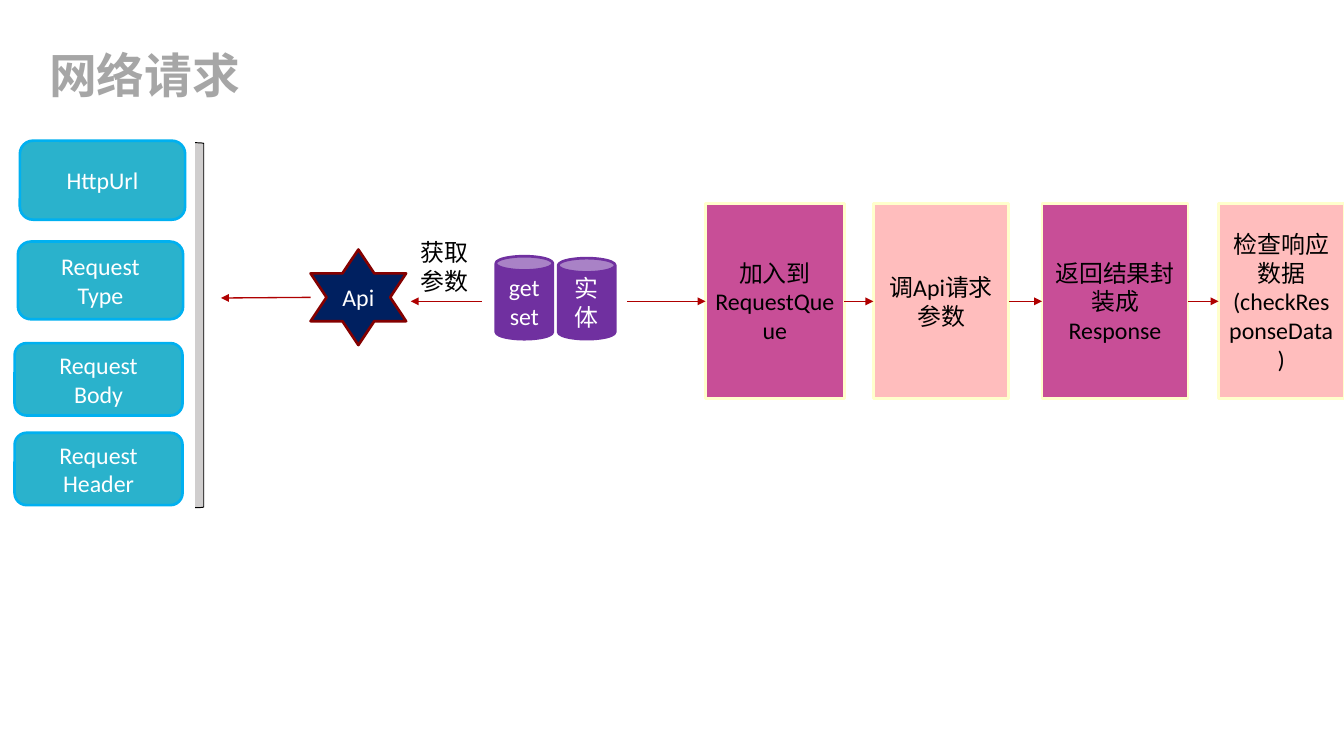
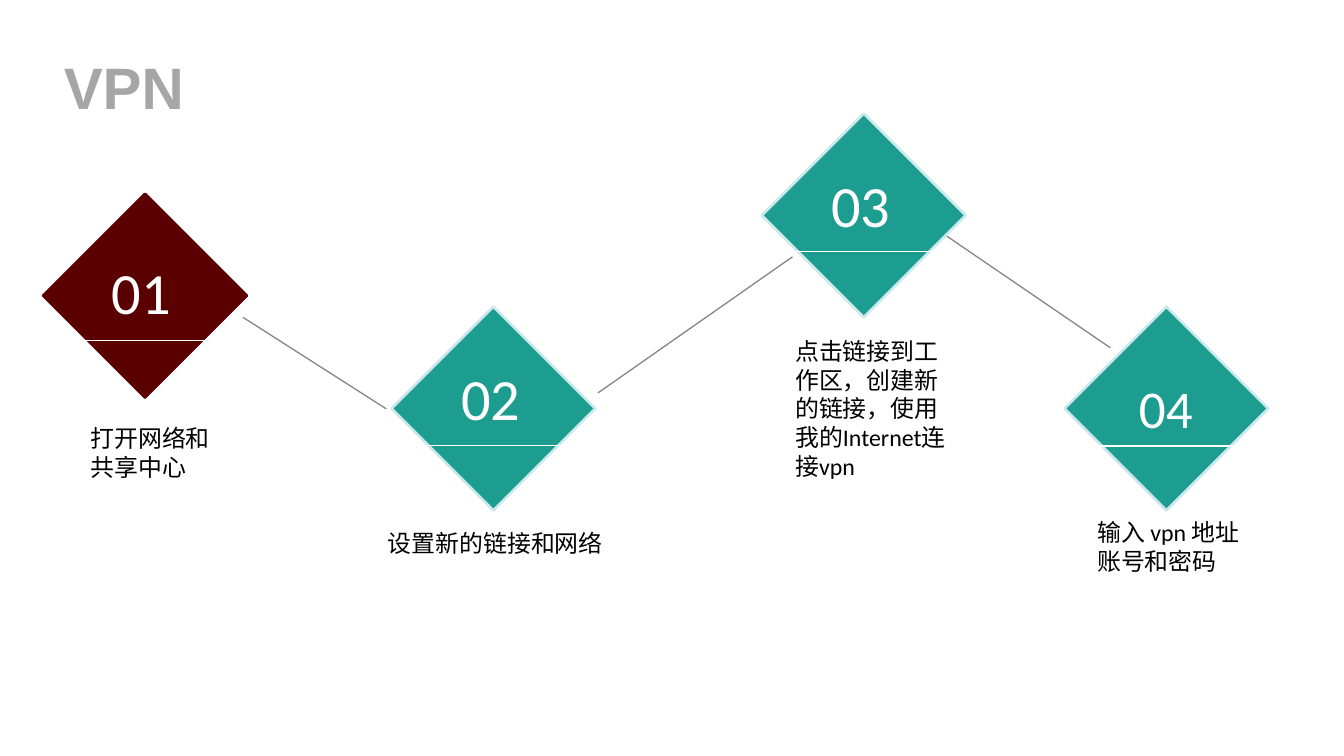
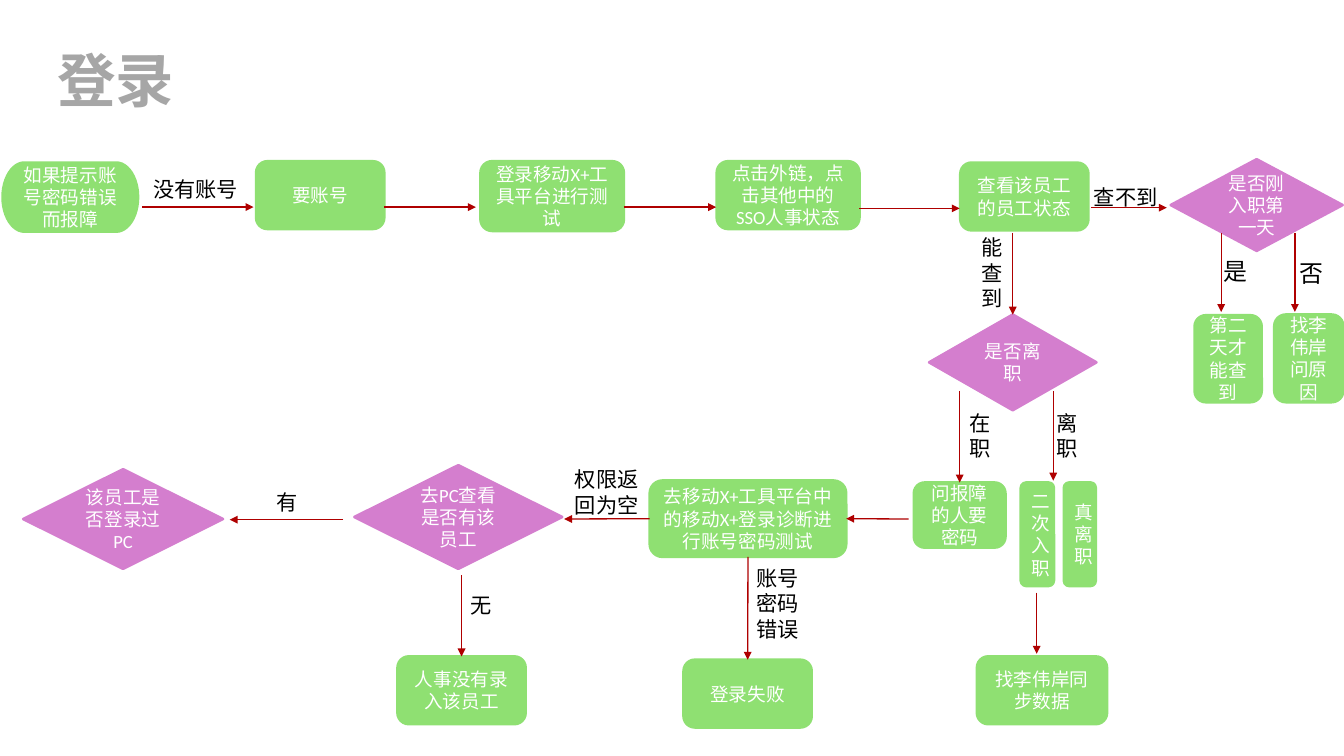
from dataclasses import dataclass
from lxml import etree
from pptx import Presentation
from pptx.dml.color import RGBColor
from pptx.enum.shapes import MSO_CONNECTOR, MSO_SHAPE
from pptx.enum.text import MSO_ANCHOR, MSO_AUTO_SIZE, PP_ALIGN
from pptx.oxml.ns import qn
from pptx.util import Pt

ROUND = MSO_SHAPE.ROUNDED_RECTANGLE
RECT = MSO_SHAPE.RECTANGLE
DIAMOND = MSO_SHAPE.DIAMOND
CAN = MSO_SHAPE.CAN
STAR = MSO_SHAPE.STAR_6_POINT
BRACKET = MSO_SHAPE.RIGHT_BRACKET
TERMINATOR = MSO_SHAPE.FLOWCHART_TERMINATOR
STRAIGHT = MSO_CONNECTOR.STRAIGHT
MIDDLE = MSO_ANCHOR.MIDDLE
GROW = MSO_AUTO_SIZE.SHAPE_TO_FIT_TEXT
CENTER, ALIGN_LEFT = PP_ALIGN.CENTER, PP_ALIGN.LEFT
TOP, LEFT, BOTTOM, RIGHT = range(4)


@dataclass(frozen=True)
class Theme:
    title_font: str = "Arial"
    body_font: str = "Calibri"
    title: str = "A6A6A6"
    black: str = "000000"
    white: str = "FFFFFF"
    arrow: str = "AF0000"
    link: str = "8A8686"
    request: str = "2AB2CC"
    request_edge: str = "00B0F0"
    entity: str = "7030A0"
    api: str = "002060"
    api_edge: str = "840000"
    step_dark: str = "C84E97"
    step_light: str = "FFBDBD"
    step_edge: str = "FFFFCC"
    bracket: str = "D0CECE"
    first: str = "5A0000"
    teal: str = "1D9C90"
    teal_edge: str = "CBE8ED"
    task: str = "8FE072"
    decision: str = "D47ECE"
    title_size: int = 44
    long_title_size: int = 36
    body_size: int = 18
    label_size: int = 16
    flow_size: int = 14
    number_size: int = 44
    last_number_size: int = 40
    edge: float = 2
    thin: float = 0.75
    line: float = 1


theme = Theme()


def add_block(slide, box, text="", size=theme.body_size, color=theme.black, kind=None,
              fill=None, edge=None, edge_width=theme.edge, font=theme.body_font, bold=False):
    frame = [Pt(value) for value in box]
    if kind is None:
        block = slide.shapes.add_textbox(*frame)
        block.text_frame.auto_size = GROW
    else:
        block = slide.shapes.add_shape(kind, *frame)
        block.shadow.inherit = False
        block.fill.solid()
        block.fill.fore_color.rgb = RGBColor.from_string(fill)
        block.line.color.rgb = RGBColor.from_string(edge or fill)
        block.line.width = Pt(edge_width)
        block.text_frame.vertical_anchor = MIDDLE
    block.text_frame.word_wrap = True
    for index, words in enumerate(text.split("\n") if text else []):
        paragraphs = block.text_frame.paragraphs
        paragraph = block.text_frame.add_paragraph() if index else paragraphs[0]
        paragraph.alignment = CENTER if kind else ALIGN_LEFT
        run = paragraph.add_run()
        run.text = words
        run.font.name = font
        run.font.size = Pt(size)
        run.font.bold = bold
        run.font.color.rgb = RGBColor.from_string(color)
    return block


def add_line(slide, points, color=theme.arrow, arrow=True, begin=None, end=None):
    line = slide.shapes.add_connector(STRAIGHT, *[Pt(value) for value in points])
    if begin:
        line.begin_connect(*begin)
    if end:
        line.end_connect(*end)
    line.line.color.rgb = RGBColor.from_string(color)
    line.line.width = Pt(theme.line)
    if arrow:
        etree.SubElement(line.line._get_or_add_ln(), qn("a:tailEnd"), type="triangle")
    etree.SubElement(line._element.spPr, qn("a:effectLst"))


deck = Presentation()
deck.slide_width = Pt(1012.5)
deck.slide_height = Pt(569.5)

slides = []
for title, box, size in [
    ("网络请求", (30, 31, 174, 51), theme.long_title_size),
    ("VPN", (41, 35, 110, 60.5), theme.title_size),
    ("登录", (36, 29.5, 104, 60.5), theme.title_size),
]:
    slide = deck.slides.add_slide(deck.slide_layouts[6])
    add_block(slide, box, title, size, theme.title, font=theme.title_font, bold=True)
    slides.append(slide)
request_slide, vpn_slide, login_slide = slides

add_block(request_slide, (309.5, 175.5, 106.5, 51), "获取\n参数")

for box, text in [((420.5, 194.5, 43, 61), "实体"), ((373.5, 193, 43, 62.5), "get\nset")]:
    add_block(request_slide, box, text, color=theme.white, kind=CAN, fill=theme.entity)

for box, text in [
    ((15, 106, 124.5, 59.5), "HttpUrl"),
    ((13.5, 182, 124.5, 58.5), "Request\nType"),
    ((11, 258.5, 126.5, 54.5), "Request\nBody"),
    ((11, 326, 126.5, 54.5), "Request\nHeader"),
]:
    add_block(request_slide, box, text, color=theme.white, kind=ROUND,
              fill=theme.request, edge=theme.request_edge)

add_block(request_slide, (147, 107.5, 6.5, 275), kind=BRACKET, fill=theme.bracket,
          edge=theme.black, edge_width=theme.thin)
add_block(request_slide, (234, 188, 72, 72), "Api", color=theme.white, kind=STAR,
          fill=theme.api, edge=theme.api_edge)
add_line(request_slide, (234, 224, 166.5, 224.5))
add_line(request_slide, (363, 227, 309.5, 227))

previous_step = None
for x, width, fill, text in [
    (531.5, 104.5, theme.step_dark, "加入到RequestQueue"),
    (658, 102, theme.step_light, "调Api请求参数"),
    (785, 110, theme.step_dark, "返回结果封装成Response"),
    (918, 94.5, theme.step_light, "检查响应数据\n(checkResponseData)"),
]:
    step = add_block(request_slide, (x, 153.5, width, 147), text, kind=RECT,
                     fill=fill, edge=theme.step_edge)
    add_line(request_slide, (472.5, 227, x, 227),
             begin=(previous_step, RIGHT) if previous_step else None, end=(step, LEFT))
    previous_step = step

for points in [
    (183, 239, 291, 308),
    (450.5, 296, 597, 193.5),
    (712, 177, 836.5, 262),
]:
    add_line(vpn_slide, points, theme.link, arrow=False)

for corner, fill, edge, rule, number, number_box, number_size, caption, caption_box in [
    ((32.5, 146), theme.first, theme.first, (47, 256.5), "01", (77, 189.5, 70, 60.5),
     theme.number_size, "打开网络和共享中心", (61, 315.5, 105, 51)),
    ((295, 231), theme.teal, theme.teal_edge, (319.5, 335.5), "02", (340.5, 269.5, 65, 60.5),
     theme.number_size, "设置新的链接和网络", (285, 394.5, 193, 29)),
    ((574, 85.5), theme.teal, theme.teal_edge, (592, 189.5), "03", (619, 124, 62.5, 60.5),
     theme.number_size, "点击链接到工作区，创建新的链接，使用我的Internet连接vpn", (592, 250, 134, 138)),
    ((802, 231), theme.teal, theme.teal_edge, (819.5, 336), "04", (851, 279.5, 55.5, 55.5),
     theme.last_number_size, "输入 vpn 地址账号和密码", (819.5, 386.5, 136, 51)),
]:
    add_block(vpn_slide, (*corner, 153.5, 153.5), kind=DIAMOND, fill=fill, edge=edge)
    rule_x, rule_y = rule
    add_line(vpn_slide, (rule_x, rule_y, rule_x + 119, rule_y), theme.white, arrow=False)
    add_block(vpn_slide, number_box, number, number_size, theme.white)
    add_block(vpn_slide, caption_box, caption)

flow = {}
for key, kind, box, text in [
    ("report", TERMINATOR, (2, 122.5, 102, 52), "如果提示账号密码错误而报障"),
    ("account", ROUND, (193, 121.5, 96.5, 51), "要账号"),
    ("platform", ROUND, (362, 121.5, 108, 52.5), "登录移动X+工具平台进行测试"),
    ("sso", ROUND, (540, 121.5, 107.5, 51), "点击外链，点击其他中的SSO人事状态"),
    ("status", ROUND, (723.5, 122.5, 96.5, 51), "查看该员工的员工状态"),
    ("first_day", DIAMOND, (882, 120, 129.5, 69), "是否刚入职第一天"),
    ("next_day", ROUND, (900, 237.5, 50.5, 65.5), "第二天才能查到"),
    ("ask_reason", ROUND, (960, 237, 52, 66), "找李伟岸问原因"),
    ("left_job", DIAMOND, (700, 237, 126, 72), "是否离职"),
    ("password", ROUND, (688.5, 363.5, 69, 49), "问报障的人要密码"),
    ("rejoined", ROUND, (769, 363.5, 25, 78), "二次入职"),
    ("really_left", ROUND, (801.5, 363.5, 24, 78), "真离职"),
    ("sync", ROUND, (736, 494.5, 98, 51), "找李伟岸同步数据"),
    ("diagnosis", ROUND, (489.5, 362, 148, 57.5), "去移动X+工具平台中的移动X+登录诊断进行账号密码测试"),
    ("failed", ROUND, (515, 497, 96.5, 51), "登录失败"),
    ("on_pc", DIAMOND, (267, 350.5, 156.5, 78), "去PC查看是否有该员工"),
    ("not_entered", ROUND, (299.5, 494.5, 96.5, 51), "人事没有录入该员工"),
    ("pc_login", DIAMOND, (17.5, 353.5, 150.5, 75), "该员工是否登录过PC"),
]:
    fill = theme.decision if kind == DIAMOND else theme.task
    flow[key] = add_block(login_slide, box, text, theme.flow_size, theme.white, kind, fill)

for points, begin, end in [
    ((107, 156, 191, 156), None, None),
    ((289.5, 156, 358.5, 156), None, None),
    ((470, 156, 539.5, 156), None, None),
    ((647.5, 157, 723, 157), None, None),
    ((822, 156.5, 879, 156.5), None, None),
    ((920, 175.5, 920, 235), None, None),
    ((975.5, 175.5, 975.5, 235), None, None),
    ((763, 175.5, 763, 237), None, ("left_job", TOP)),
    ((723, 294.5, 723, 363.5), None, ("password", TOP)),
    ((793.5, 294.5, 793.5, 362), None, None),
    ((781, 446.5, 781, 492.5), None, None),
    ((684.5, 391, 637.5, 391), None, ("diagnosis", RIGHT)),
    ((563.5, 419.5, 563, 497), ("diagnosis", BOTTOM), ("failed", TOP)),
    ((489.5, 391, 425, 391), ("diagnosis", LEFT), None),
    ((347.75, 433.5, 347.75, 494.5), None, ("not_entered", TOP)),
    ((258.5, 391.5, 173, 391.5), None, None),
]:
    begin, end = [(flow[joint[0]], joint[1]) if joint else None for joint in (begin, end)]
    add_line(login_slide, points, begin=begin, end=end)

for box, text, size in [
    ((108.5, 129.5, 119, 26.5), "没有账号", theme.label_size),
    ((817, 135, 71.5, 26.5), "查不到", theme.label_size),
    ((732, 173, 30, 65.5), "能查到", theme.label_size),
    ((914.5, 189.5, 22.5, 29), "是", theme.body_size),
    ((972, 191, 30, 29), "否", theme.body_size),
    ((723.5, 305.5, 19.5, 46), "在职", theme.label_size),
    ((789, 305.5, 29, 46), "离职", theme.label_size),
    ((563, 422, 57, 65.5), "账号密码错误", theme.label_size),
    ((426, 348, 70.5, 46), "权限返回为空", theme.label_size),
    ((347.5, 443, 22.5, 26.5), "无", theme.label_size),
    ((201, 365, 48, 26.5), "有", theme.label_size),
]:
    add_block(login_slide, box, text, size)

deck.save("out.pptx")
